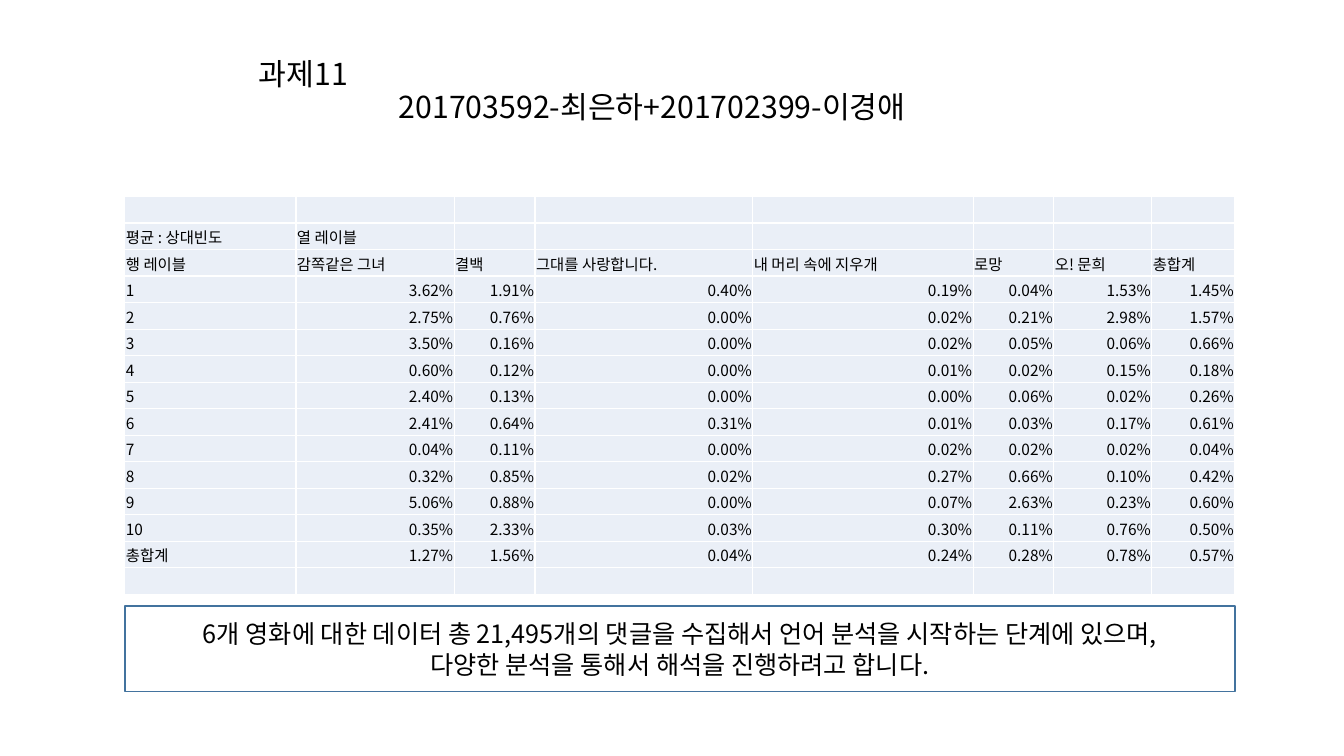
from dataclasses import dataclass

from lxml import etree
from pptx import Presentation
from pptx.dml.color import RGBColor
from pptx.enum.shapes import MSO_SHAPE
from pptx.enum.text import MSO_ANCHOR, PP_ALIGN
from pptx.oxml.ns import qn
from pptx.util import Pt

RECTANGLE = MSO_SHAPE.RECTANGLE
MIDDLE, BOTTOM = MSO_ANCHOR.MIDDLE, MSO_ANCHOR.BOTTOM
LEFT, CENTER, RIGHT = PP_ALIGN.LEFT, PP_ALIGN.CENTER, PP_ALIGN.RIGHT


@dataclass(frozen=True)
class Theme:
    font: str = "Noto Sans CJK KR"
    text: str = "000000"
    frame: str = "43739E"
    cell: str = "EAEFF7"
    grid: str = "FFFFFF"
    title_size: float = 21.6
    summary_size: float = 18
    table_size: float = 11
    line_width: float = 1


class SlideBuilder:
    def __init__(self, slide, theme):
        self.slide = slide
        self.theme = theme

    def add_run(self, paragraph, text, size):
        run = paragraph.add_run()
        run.text = text
        run.font.size = Pt(size)
        run.font.name = self.theme.font
        run.font.color.rgb = RGBColor.from_string(self.theme.text)
        properties = run.font._element
        etree.SubElement(properties, qn("a:ea"), typeface=self.theme.font)

    def fill_frame(self, frame, lines, size, spacing, anchor, alignment):
        frame.word_wrap = True
        frame.vertical_anchor = anchor
        for index, (text, indent) in enumerate(lines):
            paragraph = frame.add_paragraph() if index else frame.paragraphs[0]
            paragraph.alignment = alignment
            paragraph.line_spacing = Pt(spacing)
            if indent:
                paragraph._p.get_or_add_pPr().set("marL", str(Pt(indent)))
            self.add_run(paragraph, text, size)

    def title(self, left, top, width, height, lines):
        shape = self.slide.shapes.add_textbox(Pt(left), Pt(top), Pt(width), Pt(height))
        self.fill_frame(shape.text_frame, lines, self.theme.title_size, 23.6, BOTTOM, LEFT)

    def framed_text(self, left, top, width, height, lines):
        shape = self.slide.shapes.add_shape(RECTANGLE, Pt(left), Pt(top), Pt(width), Pt(height))
        shape.shadow.inherit = False
        shape.fill.background()
        shape.line.color.rgb = RGBColor.from_string(self.theme.frame)
        shape.line.width = Pt(self.theme.line_width)
        indented = [(line, 0) for line in lines]
        self.fill_frame(shape.text_frame, indented, self.theme.summary_size, 22.1, MIDDLE, CENTER)

    def style_cell(self, cell):
        properties = cell._tc.get_or_add_tcPr()
        for side in ("a:lnL", "a:lnR", "a:lnT", "a:lnB"):
            border = etree.SubElement(properties, qn(side), w=str(Pt(self.theme.line_width)))
            fill = etree.SubElement(border, qn("a:solidFill"))
            etree.SubElement(fill, qn("a:srgbClr"), val=self.theme.grid)
        cell.fill.solid()
        cell.fill.fore_color.rgb = RGBColor.from_string(self.theme.cell)
        cell.vertical_anchor = MIDDLE
        cell.margin_left = cell.margin_right = cell.margin_top = Pt(0.72)
        cell.margin_bottom = Pt(0)

    def table(self, left, top, widths, row_height, rows):
        frame = self.slide.shapes.add_table(
            len(rows), len(widths), Pt(left), Pt(top), Pt(sum(widths)), Pt(row_height * len(rows)))
        table = frame.table
        table.first_row = table.horz_banding = False
        for column, width in zip(table.columns, widths):
            column.width = Pt(width)
        for row_index, values in enumerate(rows):
            table.rows[row_index].height = Pt(row_height)
            for column_index in range(len(widths)):
                cell = table.cell(row_index, column_index)
                self.style_cell(cell)
                paragraph = cell.text_frame.paragraphs[0]
                text = values[column_index] if column_index < len(values) else ""
                if text:
                    paragraph.alignment = RIGHT if text.endswith("%") else LEFT
                    self.add_run(paragraph, text, self.theme.table_size)
                else:
                    size = str(int(self.theme.table_size * 100))
                    etree.SubElement(paragraph._p, qn("a:endParaRPr"), sz=size)


FREQUENCIES = [
    ("1", 3.62, 1.91, 0.40, 0.19, 0.04, 1.53, 1.45),
    ("2", 2.75, 0.76, 0.00, 0.02, 0.21, 2.98, 1.57),
    ("3", 3.50, 0.16, 0.00, 0.02, 0.05, 0.06, 0.66),
    ("4", 0.60, 0.12, 0.00, 0.01, 0.02, 0.15, 0.18),
    ("5", 2.40, 0.13, 0.00, 0.00, 0.06, 0.02, 0.26),
    ("6", 2.41, 0.64, 0.31, 0.01, 0.03, 0.17, 0.61),
    ("7", 0.04, 0.11, 0.00, 0.02, 0.02, 0.02, 0.04),
    ("8", 0.32, 0.85, 0.02, 0.27, 0.66, 0.10, 0.42),
    ("9", 5.06, 0.88, 0.00, 0.07, 2.63, 0.23, 0.60),
    ("10", 0.35, 2.33, 0.03, 0.30, 0.11, 0.76, 0.50),
    ("총합계", 1.27, 1.56, 0.04, 0.24, 0.28, 0.78, 0.57),
]
HEADINGS = ["행 레이블", "감쪽같은 그녀", "결백", "그대를 사랑합니다.",
            "내 머리 속에 지우개", "로망", "오! 문희", "총합계"]
COLUMN_WIDTHS = [122.2, 113, 57.8, 155.6, 157.4, 57.6, 70, 59.3]

presentation = Presentation()
presentation.slide_width = Pt(960)
presentation.slide_height = Pt(540)
builder = SlideBuilder(presentation.slides.add_slide(presentation.slide_layouts[6]), Theme())

builder.title(123.8, 35.3, 712.8, 56.9, [("과제11", 54), ("201703592-최은하+201702399-이경애", 154)])
builder.framed_text(89.2, 432.8, sum(COLUMN_WIDTHS), 61.3, [
    "6개 영화에 대한 데이터 총 21,495개의 댓글을 수집해서 언어 분석을 시작하는 단계에 있으며,",
    "다양한 분석을 통해서 해석을 진행하려고 합니다.",
])
frequency_rows = [[label] + [f"{value:.2f}%" for value in values] for label, *values in FREQUENCIES]
builder.table(89.2, 140.4, COLUMN_WIDTHS, 18.94,
              [[], ["평균 : 상대빈도", "열 레이블"], HEADINGS, *frequency_rows, []])

presentation.save("out.pptx")
